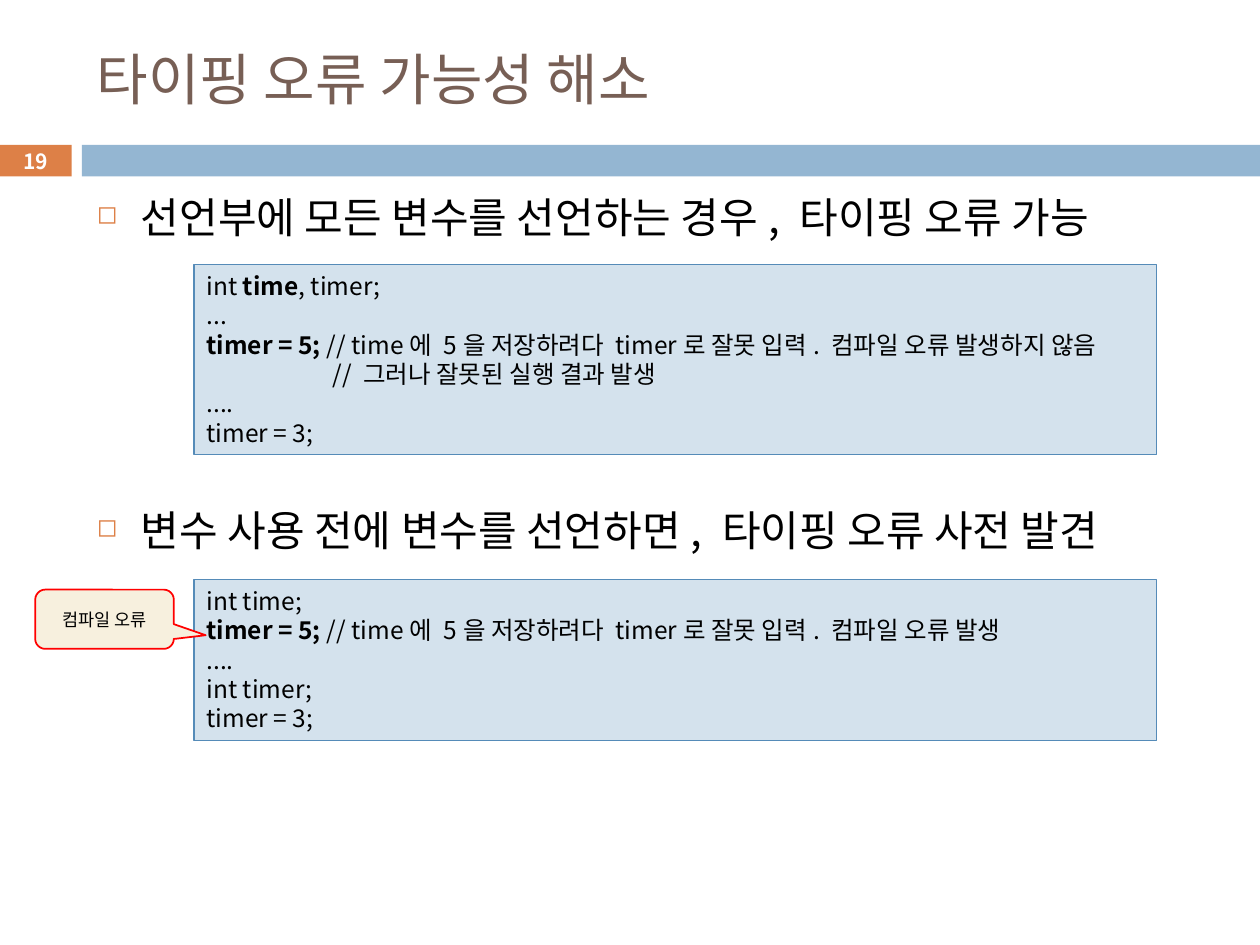
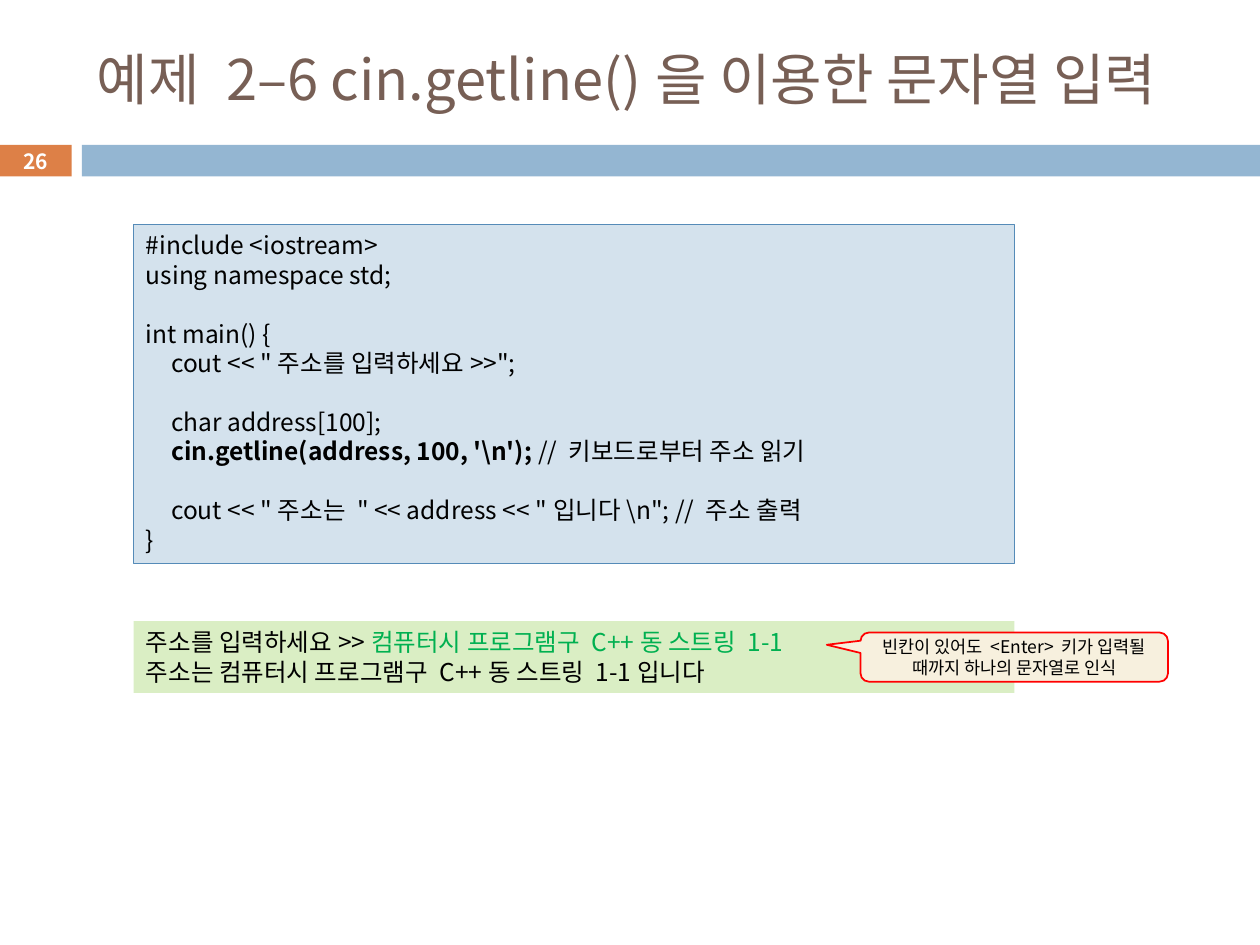
from dataclasses import dataclass

from lxml import etree
from pptx import Presentation
from pptx.dml.color import RGBColor
from pptx.enum import shapes, text
from pptx.oxml import ns
from pptx.util import Pt

FONT = "Noto Sans CJK KR"
BLACK = RGBColor(0x00, 0x00, 0x00)
WHITE = RGBColor(0xFF, 0xFF, 0xFF)
BROWN = RGBColor(0x77, 0x5F, 0x55)
ORANGE = RGBColor(0xDD, 0x80, 0x47)
BAND_BLUE = RGBColor(0x94, 0xB6, 0xD2)
CODE_BLUE = RGBColor(0xD4, 0xE2, 0xED)
CODE_BORDER = RGBColor(0x55, 0x8B, 0xB8)
OUTPUT_GREEN = RGBColor(0xDA, 0xEE, 0xC4)
INPUT_GREEN = RGBColor(0x00, 0xB0, 0x50)
CREAM = RGBColor(0xF7, 0xF0, 0xDE)
RED = RGBColor(0xFF, 0x00, 0x00)

LINE_FACTOR = 1.2
CODE_SIZE = 14
CODE_LINE = CODE_SIZE * LINE_FACTOR
BULLET_SIZE = 24
BULLET_INDENT = 25.2
BULLET_GAP = 150.2
RECTANGLE = shapes.MSO_SHAPE.RECTANGLE
CALLOUT = shapes.MSO_SHAPE.ROUNDED_RECTANGULAR_CALLOUT


@dataclass(frozen=True)
class Box:
    left: float
    top: float
    width: float
    height: float


@dataclass(frozen=True)
class Run:
    words: str
    bold: bool = False
    color: RGBColor = BLACK


@dataclass(frozen=True)
class Line:
    runs: tuple[Run, ...]
    indent: float = 0
    gap: float = 0


@dataclass(frozen=True)
class Panel:
    box: Box
    lines: tuple[Line, ...]
    fill: RGBColor = CODE_BLUE
    border: RGBColor | None = CODE_BORDER


@dataclass(frozen=True)
class Callout:
    box: Box
    words: str
    pointer: tuple[float, float]


def plain(words: str, indent: float = 0, gap: float = 0) -> Line:
    return Line((Run(words),), indent, gap)


def add_run(paragraph, run: Run, size: float) -> None:
    new_run = paragraph.add_run()
    new_run.text = run.words
    font = new_run.font
    font.size, font.bold, font.name = Pt(size), run.bold, FONT
    font.color.rgb = run.color
    east_asian = etree.SubElement(new_run._r.get_or_add_rPr(), ns.qn("a:ea"))
    east_asian.set("typeface", FONT)


def write_lines(shape, lines: tuple[Line, ...], size: float) -> None:
    frame = shape.text_frame
    frame.word_wrap = True
    for index, line in enumerate(lines):
        paragraph = frame.paragraphs[0] if index == 0 else frame.add_paragraph()
        paragraph.alignment = text.PP_ALIGN.LEFT
        paragraph.line_spacing = Pt(size * LINE_FACTOR)
        if line.gap:
            paragraph.space_before = Pt(line.gap)
        if line.indent:
            paragraph._p.get_or_add_pPr().set("marL", str(Pt(line.indent)))
        for run in line.runs:
            add_run(paragraph, run, size)


def place(box: Box) -> tuple[Pt, Pt, Pt, Pt]:
    return Pt(box.left), Pt(box.top), Pt(box.width), Pt(box.height)


def add_filled(slide, kind, box: Box, fill: RGBColor,
               border: RGBColor | None = None, weight: float = 0.75):
    shape = slide.shapes.add_shape(kind, *place(box))
    shape.shadow.inherit = False
    shape.fill.solid()
    shape.fill.fore_color.rgb = fill
    if border is None:
        shape.line.fill.background()
    else:
        shape.line.color.rgb = border
        shape.line.width = Pt(weight)
    return shape


def add_frame(slide, title: str, number: int) -> None:
    """Draw the title, the band and the slide number."""
    number_box = add_filled(slide, RECTANGLE, Box(0, 82.8, 41.04, 18), ORANGE)
    frame = number_box.text_frame
    frame.margin_top = frame.margin_bottom = 0
    frame.vertical_anchor = text.MSO_ANCHOR.MIDDLE
    frame.paragraphs[0].alignment = text.PP_ALIGN.CENTER
    add_run(frame.paragraphs[0], Run(str(number), True, WHITE), 12)
    add_filled(slide, RECTANGLE, Box(46.8, 82.8, 673.2, 18), BAND_BLUE)

    frame = slide.shapes.add_textbox(*place(Box(48.24, 18, 642.24, 53.28))).text_frame
    frame.word_wrap = True
    frame.vertical_anchor = text.MSO_ANCHOR.MIDDLE
    add_run(frame.paragraphs[0], Run(title, color=BROWN), 32)


def add_panel(slide, panel: Panel) -> None:
    shape = add_filled(slide, RECTANGLE, panel.box, panel.fill, panel.border)
    shape.text_frame.vertical_anchor = text.MSO_ANCHOR.TOP
    write_lines(shape, panel.lines, CODE_SIZE)


def add_callout(slide, callout: Callout) -> None:
    shape = add_filled(slide, CALLOUT, callout.box, CREAM, RED, 1)
    for index, value in enumerate((*callout.pointer, 0.17)):
        shape.adjustments[index] = value
    shape.text_frame.vertical_anchor = text.MSO_ANCHOR.MIDDLE
    write_lines(shape, (plain(callout.words),), 10)
    shape.text_frame.paragraphs[0].alignment = text.PP_ALIGN.CENTER


def add_bullets(slide, box: Box, lines: tuple[Line, ...]) -> None:
    shape = slide.shapes.add_textbox(*place(box))
    write_lines(shape, lines, BULLET_SIZE)
    for paragraph in shape.text_frame.paragraphs:
        properties = paragraph._p.get_or_add_pPr()
        properties.set("indent", str(-Pt(BULLET_INDENT)))
        color = etree.SubElement(properties, ns.qn("a:buClr"))
        etree.SubElement(color, ns.qn("a:srgbClr")).set("val", str(ORANGE))
        etree.SubElement(properties, ns.qn("a:buSzPct")).set("val", "60000")
        etree.SubElement(properties, ns.qn("a:buChar")).set("char", "◻")


def build_typing_errors(slide) -> None:
    add_frame(slide, "타이핑 오류 가능성 해소", 19)
    add_bullets(slide, Box(48.24, 105.84, 642.24, 396.72), (
        plain("선언부에 모든 변수를 선언하는 경우, 타이핑 오류 가능", BULLET_INDENT),
        plain("변수 사용 전에 변수를 선언하면, 타이핑 오류 사전 발견", BULLET_INDENT, BULLET_GAP),
    ))
    mistake = Run("timer = 5; ", True)
    comment = "// time에 5을 저장하려다 timer로 잘못 입력. 컴파일 오류 "
    add_panel(slide, Panel(Box(110.88, 151.2, 550.08, 108.72), (
        Line((Run("int "), Run("time", True), Run(", timer;"))),
        plain("..."),
        Line((mistake, Run(comment + "발생하지 않음"))),
        plain("// 그러나 잘못된 실행 결과 발생", indent=72),
        plain("...."),
        plain("timer = 3;"),
    )))
    add_panel(slide, Panel(Box(110.88, 331.2, 550.08, 92.16), (
        plain("int time;"),
        Line((mistake, Run(comment + "발생"))),
        plain("...."),
        plain("int timer;"),
        plain("timer = 3;"),
    )))
    add_callout(slide, Callout(Box(20.16, 336.96, 79.2, 33.84), "컴파일 오류", (0.73, 0.27)))


def build_getline_example(slide) -> None:
    add_frame(slide, "예제 2–6 cin.getline()을 이용한 문자열 입력", 26)
    address = "컴퓨터시 프로그램구 C++동 스트링 1-1"
    add_panel(slide, Panel(Box(76.32, 354.96, 503.28, 41.04), (
        Line((Run("주소를 입력하세요>>"), Run(address, color=INPUT_GREEN))),
        plain(f"주소는 {address}입니다"),
    ), OUTPUT_GREEN, None))
    tab = 14.4
    add_panel(slide, Panel(Box(76.32, 128.16, 503.28, 193.68), (
        plain("#include <iostream>"),
        plain("using namespace std;"),
        plain("int main() {", gap=CODE_LINE),
        plain('cout << "주소를 입력하세요>>";', tab),
        plain("char address[100];", tab, CODE_LINE),
        Line((Run("cin.getline(address, 100, '\\n'); ", True),
              Run("// 키보드로부터 주소 읽기")), tab),
        plain('cout << "주소는 " << address << "입니다\\n"; // 주소 출력', tab, CODE_LINE),
        plain("}"),
    )))
    add_callout(slide, Callout(
        Box(491.76, 361.44, 175.68, 28.08),
        "빈칸이 있어도 <Enter> 키가 입력될 때까지 하나의 문자열로 인식", (-0.61, -0.25)))


def main() -> None:
    presentation = Presentation()
    presentation.slide_width, presentation.slide_height = Pt(720), Pt(540)
    blank = presentation.slide_layouts[6]
    for build in (build_typing_errors, build_getline_example):
        build(presentation.slides.add_slide(blank))
    presentation.save("out.pptx")


if __name__ == "__main__":
    main()
